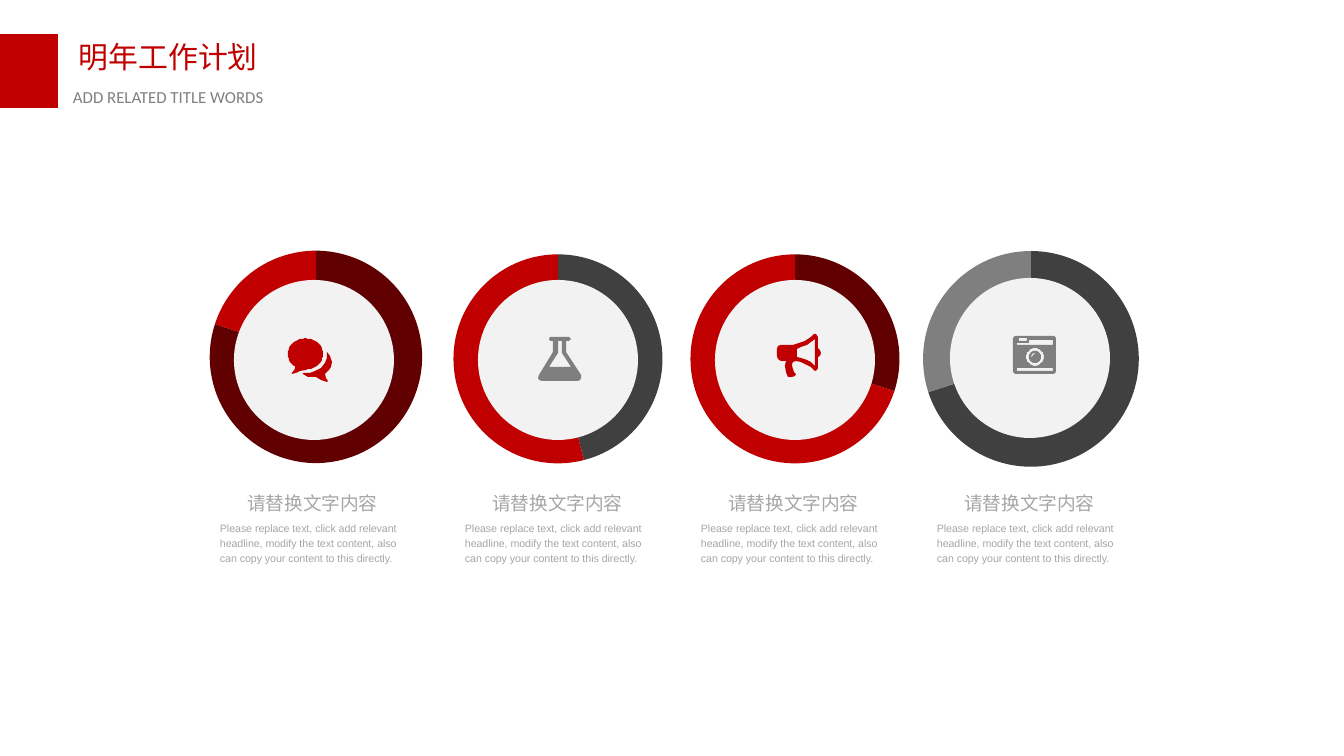
"""Build the slide of next year's work plan with four ring charts."""
import math
from dataclasses import dataclass

import pptx
import pptx.chart.data
import pptx.dml.color
import pptx.enum.chart
import pptx.enum.shapes
import pptx.enum.text
import pptx.oxml
import pptx.oxml.ns
import pptx.util

ALIGN = pptx.enum.text.PP_ALIGN
ANCHOR = pptx.enum.text.MSO_ANCHOR
SHAPE = pptx.enum.shapes.MSO_SHAPE
PX = 914400 / 134.4


@dataclass(frozen=True)
class Theme:
    red: str = "C00000"
    dark_red: str = "600000"
    grey: str = "7F7F7F"
    dark_grey: str = "404040"
    subtitle: str = "808080"
    label: str = "A6A6A6"
    disc: str = "F1F2F1"
    cjk: str = "Noto Sans CJK SC"
    latin: str = "Calibri"
    body: str = "Arial"
    title_size: float = 16
    subtitle_size: float = 9
    label_size: float = 10
    body_size: float = 5.7
    chart_size: float = 30


THEME = Theme()


def arc(center_x, center_y, radius_x, radius_y, start=0, end=360):
    angles = [math.radians(start + (end - start) * step / 48) for step in range(49)]
    return [(center_x + radius_x * math.cos(angle), center_y + radius_y * math.sin(angle))
            for angle in angles]


def box(left, top, right, bottom):
    return [(left, top), (right, top), (right, bottom), (left, bottom)]


TITLE = "明年工作计划"
SUBTITLE = "ADD RELATED TITLE WORDS"
LABEL = "请替换文字内容"
BODY = ("Please replace text, click add relevant headline, modify the text content, "
        "also can copy your content to this directly.")

CHAT = [
    arc(17.5, 16, 17.5, 15.5, 130, 450)
    + [(12, 33), (8, 35), (4, 36), (4, 35), (7, 31), (7, 28)],
    [(39, 14), (42, 18), (44, 24), (43, 29), (41, 32), (37, 36), (38, 40), (40, 43),
     (39, 44), (36, 43), (33, 42), (28, 39), (24, 39), (20, 39), (15, 36), (15, 35),
     (18, 35), (22, 35), (27, 33), (33, 30), (37, 25), (39, 20)],
]
FLASK = [
    [(43, 38), (43, 41), (42, 43), (40, 44), (4, 44), (1, 43), (0, 41), (1, 38),
     (15, 15), (15, 4), (12, 4), (11, 2), (12, 0), (31, 0), (33, 2), (31, 4),
     (28, 4), (28, 15)],
    [(11, 30), (33, 30), (24, 16), (24, 4), (20, 4), (20, 16)],
]
MEGAPHONE = [
    [(44, 19), (43, 22), (41, 23), (41, 34), (40, 36), (38, 37), (34, 33), (30, 31),
     (24, 28), (19, 27), (16, 28), (15, 31), (16, 35), (17, 38), (19, 40), (18, 42),
     (15, 43), (11, 43), (9, 38), (8, 32), (9, 27), (4, 27), (1, 25), (0, 22),
     (0, 15), (1, 12), (4, 11), (16, 11), (22, 9), (28, 7), (34, 3), (37, 0),
     (39, 0), (41, 3), (41, 14), (43, 16)],
    [(38, 5), (34, 8), (30, 11), (24, 13), (20, 15), (20, 23), (24, 24), (30, 26),
     (34, 28), (38, 32)],
]
CAMERA = [
    [(2, 0), (41, 0), (43, 2), (43, 36), (41, 38), (2, 38), (0, 36), (0, 2)],
    [(16, 4), (40, 4), (40, 9), (4, 9), (4, 7), (16, 7)],
    box(4, 32, 40, 35),
    box(6, 2, 14, 5),
    arc(22, 21, 9, 9),
    arc(22, 21, 6, 6),
    [(18, 21), (19, 18), (22, 17), (22, 18), (20, 19), (19, 21)],
]

RINGS = [
    dict(values=(80, 20), colors=(THEME.dark_red, THEME.red), center=(316, 357), size=250,
         disc=(234, 280), text_left=220, icon=CHAT, icon_at=(288, 338), icon_color=THEME.red),
    dict(values=(46, 54), colors=(THEME.dark_grey, THEME.red), center=(558, 359), size=246,
         disc=(478, 280), text_left=465, icon=FLASK, icon_at=(538, 337), icon_color=THEME.grey),
    dict(values=(30, 70), colors=(THEME.dark_red, THEME.red), center=(795, 359), size=246,
         disc=(715, 280), text_left=701, icon=MEGAPHONE, icon_at=(777, 334), icon_color=THEME.red),
    dict(values=(70, 30), colors=(THEME.dark_grey, THEME.grey), center=(1031, 359), size=254,
         disc=(950, 278), text_left=937, icon=CAMERA, icon_at=(1013, 336), icon_color=THEME.grey),
]


def px(*lengths):
    return [round(length * PX) for length in lengths]


def paint(fill, color):
    fill.solid()
    fill.fore_color.rgb = pptx.dml.color.RGBColor.from_string(color)


def finish_shape(shape, color):
    shape.shadow.inherit = False
    paint(shape.fill, color)
    shape.line.fill.background()


def add_text(slide, place, text, font_name, size, color, align, inset=(0, 0),
             anchor=ANCHOR.TOP, spacing=1.0):
    frame = slide.shapes.add_textbox(*px(*place)).text_frame
    frame.word_wrap = True
    frame.vertical_anchor = anchor
    frame.margin_left = frame.margin_right = px(inset[0])[0]
    frame.margin_top = frame.margin_bottom = px(inset[1])[0]
    paragraph = frame.paragraphs[0]
    paragraph.alignment = align
    paragraph.line_spacing = spacing
    run = paragraph.add_run()
    run.text = text
    run.font.size = pptx.util.Pt(size)
    run.font.color.rgb = pptx.dml.color.RGBColor.from_string(color)
    run.font.name = font_name
    east_asian = pptx.oxml.parse_xml(
        f'<a:ea {pptx.oxml.ns.nsdecls("a")} typeface="{font_name}"/>')
    run.font._element.find(pptx.oxml.ns.qn("a:latin")).addnext(east_asian)


def add_pie(slide, ring):
    data = pptx.chart.data.CategoryChartData(number_format="0")
    data.categories = ["1", "2"]
    data.add_series("Series 1", ring["values"])
    size = ring["size"]
    left, top = (middle - size / 2 for middle in ring["center"])
    chart = slide.shapes.add_chart(
        pptx.enum.chart.XL_CHART_TYPE.PIE, *px(left, top, size, size), data).chart
    chart.has_legend = False
    chart.has_title = False
    chart.font.name = THEME.body
    chart.font.size = pptx.util.Pt(THEME.chart_size)
    plot = chart.plots[0]
    plot.vary_by_categories = False
    for index, color in enumerate(ring["colors"]):
        point = plot.series[0].points[index]
        paint(point.format.fill, color)
        point.format.line.fill.background()
    area = chart._chartSpace.find(".//" + pptx.oxml.ns.qn("c:plotArea"))
    for old_layout in area.findall(pptx.oxml.ns.qn("c:layout")):
        area.remove(old_layout)
    area.insert(0, pptx.oxml.parse_xml(
        f'<c:layout {pptx.oxml.ns.nsdecls("c")}><c:manualLayout>'
        '<c:layoutTarget val="inner"/><c:xMode val="edge"/><c:yMode val="edge"/>'
        '<c:x val="0.075"/><c:y val="0"/><c:w val="0.85"/><c:h val="1"/>'
        '</c:manualLayout></c:layout>'))


def add_icon(slide, contours, place, color):
    builder = slide.shapes.build_freeform(*contours[0][0], scale=PX)
    for index, contour in enumerate(contours):
        if index:
            builder.move_to(*contour[0])
        builder.add_line_segments(contour[1:], close=True)
    finish_shape(builder.convert_to_shape(*px(*place)), color)


def main():
    presentation = pptx.Presentation()
    presentation.slide_width, presentation.slide_height = px(1344, 756)
    slide = presentation.slides.add_slide(presentation.slide_layouts[6])
    finish_shape(slide.shapes.add_shape(SHAPE.RECTANGLE, *px(0, 34, 58, 74)), THEME.red)
    add_text(slide, (69, 34, 270, 47), TITLE, THEME.cjk, THEME.title_size, THEME.red,
             ALIGN.JUSTIFY, (10, 5))
    add_text(slide, (63, 82, 300, 31), SUBTITLE, THEME.latin, THEME.subtitle_size,
             THEME.subtitle, ALIGN.JUSTIFY, (10, 5))
    for ring in RINGS:
        add_pie(slide, ring)
        disc = slide.shapes.add_shape(SHAPE.OVAL, *px(*ring["disc"], 160, 160))
        finish_shape(disc, THEME.disc)
        add_text(slide, (ring["text_left"], 492, 185, 23), LABEL, THEME.body,
                 THEME.label_size, THEME.label, ALIGN.CENTER, anchor=ANCHOR.MIDDLE)
        add_text(slide, (ring["text_left"], 519, 185, 46), BODY, THEME.body,
                 THEME.body_size, THEME.label, ALIGN.LEFT, spacing=1.2)
        add_icon(slide, ring["icon"], ring["icon_at"], ring["icon_color"])
    presentation.save("out.pptx")


if __name__ == "__main__":
    main()
